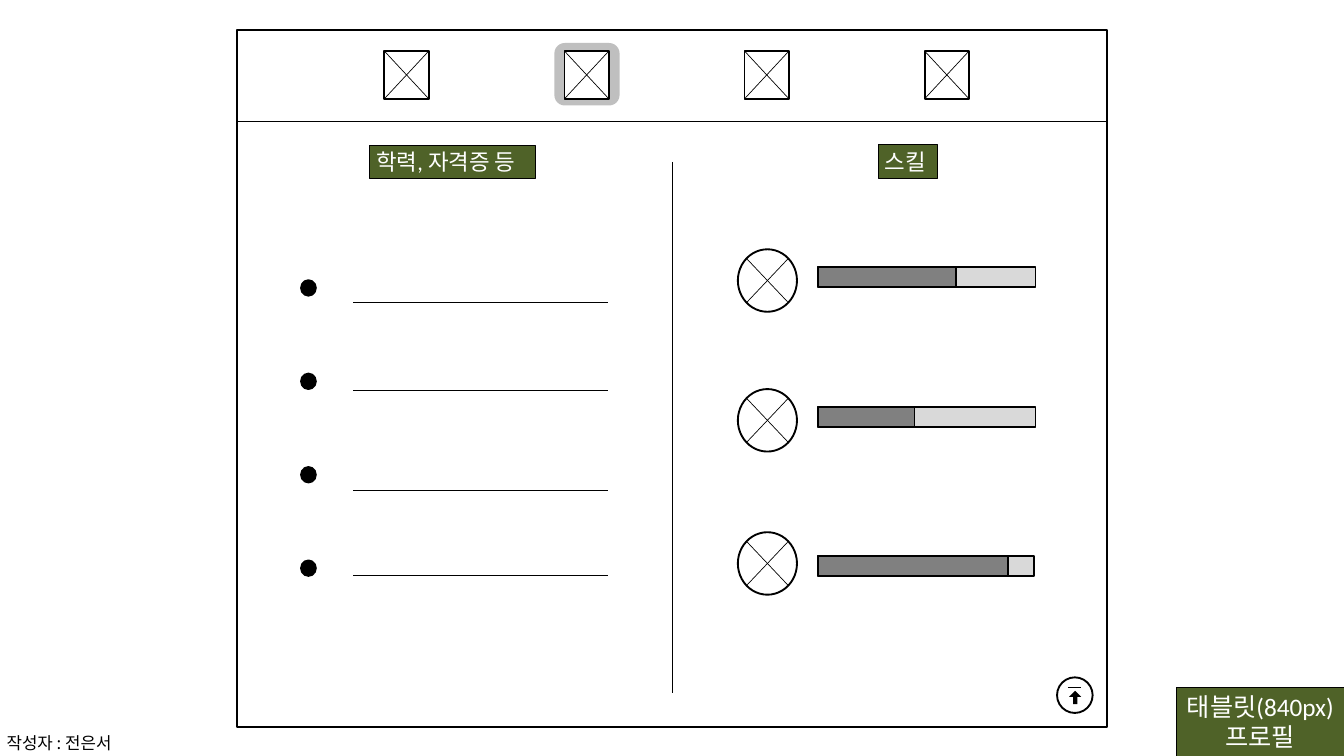
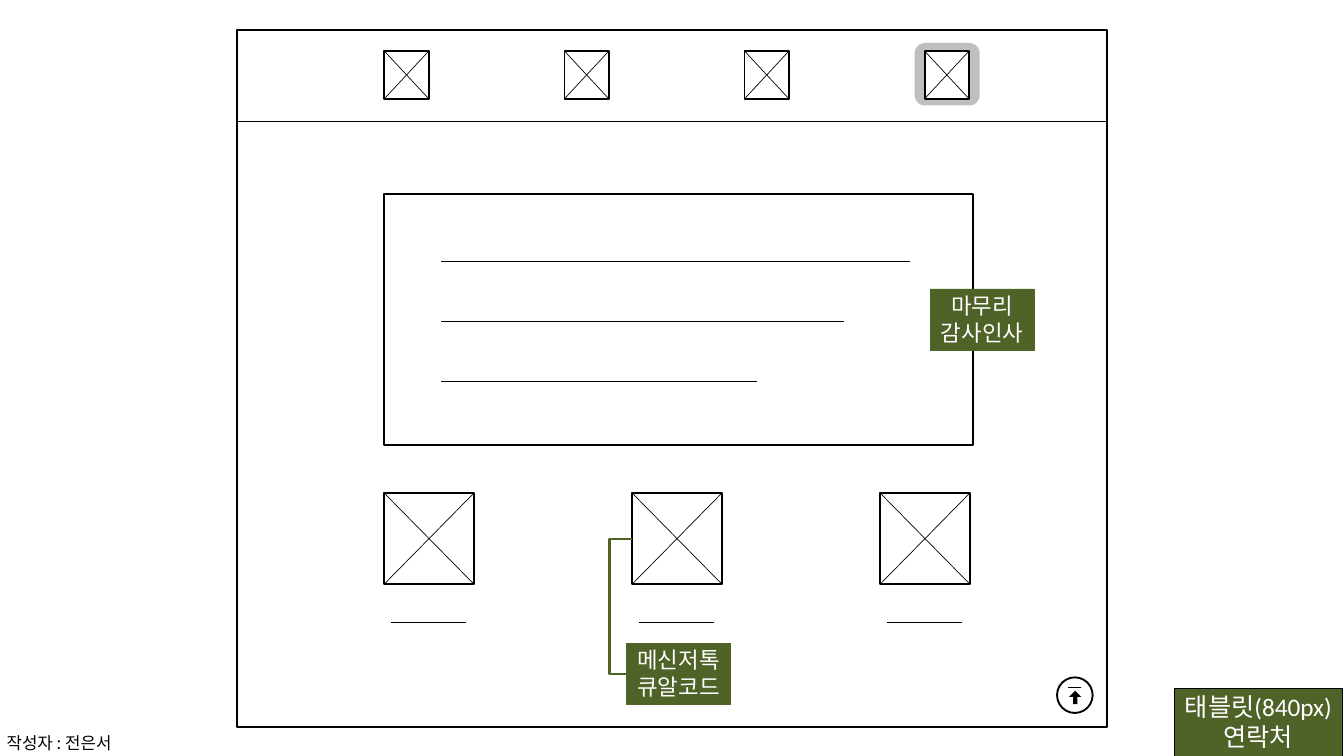
from lxml import etree
from pptx import Presentation
from pptx import util as u
from pptx.dml.color import RGBColor
from pptx.enum import shapes as kinds, text
from pptx.oxml import ns

# Content
AUTHOR = "작성자 : 전은서"
DEVICE = "태블릿(840px)"
PROFILE = {"name": "프로필", "tag": (17.51, 10.23), "active": 1}
CONTACT = {"name": "연락처", "tag": (17.48, 10.24), "active": 3}
SECTIONS = [("학력, 자격증 등", 5.5, 2.16, 2.46), ("스킬", 13.07, 2.15, 0.88)]
HISTORY_LINES = [4.5, 5.81, 7.3, 8.56]
# icon top, bar top, bar width, filled width
SKILLS = [(3.71, 3.97, 3.24, 2.06), (5.79, 6.06, 3.24, 1.44),
          (7.92, 8.27, 3.22, 2.83)]
CLOSING_LINES = [6.97, 5.99, 4.69]
CLOSING_NOTE = ["마무리", "감사인사"]
CODE_NOTE = ["메신저톡", "큐알코드"]

# Shared look
BLACK, WHITE, GREEN = "000000", "FFFFFF", "4F6228"
HALO, TRACK, LEVEL = "BFBFBF", "D9D9D9", "808080"
LATIN, KOREAN = "Calibri", "Noto Sans CJK KR"
THIN, THICK = 0.75, 2
SHAPE = kinds.MSO_SHAPE
FRAME = (3.53, 0.44, 12.94, 10.38)
HEADER_Y = 1.81
NAV_LEFT, NAV_TOP, NAV_STEP, NAV_SIZE = 5.72, 0.76, 2.68, (0.66, 0.71)
CIRCLE_INSET = 0.146  # where a 45° diagonal meets the circle


def color(hex_value):
    return RGBColor.from_string(hex_value)


def inches(*values):
    return [u.Inches(value) for value in values]


def paint(shape, fill=None, line=None, weight=THICK):
    if fill:
        shape.fill.solid()
        shape.fill.fore_color.rgb = color(fill)
    else:
        shape.fill.background()
    if line:
        shape.line.color.rgb = color(line)
        shape.line.width = u.Pt(weight)
    else:
        shape.line.fill.background()


def add_shape(parent, kind, box, fill=None, line=BLACK, weight=THICK):
    shape = parent.add_shape(kind, *inches(*box))
    shape.shadow.inherit = False
    paint(shape, fill, line, weight)
    return shape


def add_line(parent, x1, y1, x2, y2, weight=THIN, hue=BLACK,
             kind=kinds.MSO_CONNECTOR.STRAIGHT):
    line = parent.add_connector(kind, *inches(x1, y1, x2, y2))
    line.line.color.rgb = color(hue)
    line.line.width = u.Pt(weight)
    etree.SubElement(line._element.spPr, ns.qn("a:effectLst"))
    return line


def write(shape, lines, size, hue=WHITE, font=LATIN, align=text.PP_ALIGN.CENTER):
    frame = shape.text_frame
    frame_format = {
        "word_wrap": False, "auto_size": text.MSO_AUTO_SIZE.SHAPE_TO_FIT_TEXT,
        "vertical_anchor": text.MSO_ANCHOR.TOP,
        "margin_left": u.Inches(0.1), "margin_right": u.Inches(0.1),
        "margin_top": u.Inches(0.05), "margin_bottom": u.Inches(0.05)}
    for name, value in frame_format.items():
        setattr(frame, name, value)
    for index, line in enumerate(lines):
        paragraph = frame.add_paragraph() if index else frame.paragraphs[0]
        paragraph.alignment = align
        run = paragraph.add_run()
        run.text = line
        for name, value in {"size": u.Pt(size), "name": font}.items():
            setattr(run.font, name, value)
        run.font.color.rgb = color(hue)


def add_label(parent, box, lines, border=BLACK, align=text.PP_ALIGN.CENTER):
    label = add_shape(parent, SHAPE.RECTANGLE, box, GREEN, border, THIN)
    write(label, lines, 24, align=align)
    return label


def add_crossed(parent, box, kind=SHAPE.RECTANGLE, inset=0):
    """Placeholder icon: an outline with both diagonals."""
    shape = add_shape(parent, kind, box, WHITE)
    left, top, width, height = box
    x1, x2 = left + inset * width, left + (1 - inset) * width
    y1, y2 = top + inset * height, top + (1 - inset) * height
    add_line(parent, x1, y2, x2, y1)
    add_line(parent, x2, y2, x1, y1)
    return shape


def add_page(presentation, page):
    """Add a slide with the parts every page shares."""
    slide = presentation.slides.add_slide(presentation.slide_layouts[5])
    shapes = slide.shapes

    # Page tag
    title = shapes.title
    title.left, title.top, title.width, title.height = inches(*page["tag"], 2.49, 1.01)
    paint(title, GREEN, BLACK, THIN)
    write(title, [DEVICE, page["name"]], 27)

    # Device frame and header
    left, _, width, _ = FRAME
    add_shape(shapes, SHAPE.RECTANGLE, FRAME)
    add_line(shapes, left, HEADER_Y, left + width, HEADER_Y)

    # Navigation, with a halo behind the active icon
    for index in range(4):
        icon_left = NAV_LEFT + index * NAV_STEP
        icon = shapes.add_group_shape().shapes
        if index == page["active"]:
            add_shape(icon, SHAPE.ROUNDED_RECTANGLE,
                      (icon_left - 0.15, 0.64, 0.97, 0.93), HALO, None)
        add_crossed(icon, (icon_left, NAV_TOP, *NAV_SIZE))

    # Back-to-top button
    button = shapes.add_group_shape().shapes
    add_shape(button, SHAPE.OVAL, (15.73, 10.08, 0.53, 0.53))
    arrow = add_shape(button, SHAPE.UP_ARROW, (15.91, 10.28, 0.18, 0.2), BLACK, None)
    arrow.adjustments[0] = 0.36
    add_line(button, 15.89, 10.23, 16.09, 10.23, 1)

    # Author
    author = shapes.add_textbox(*inches(0, 10.85, 1.9, 0.4))
    write(author, [AUTHOR], 18, BLACK, KOREAN, text.PP_ALIGN.LEFT)
    return shapes


def build_profile(presentation):
    shapes = add_page(presentation, PROFILE)
    add_line(shapes, 10, 2.41, 10, 10.31)
    for name, left, top, width in SECTIONS:
        add_label(shapes, (left, top, width, 0.5), [name], align=text.PP_ALIGN.LEFT)

    # Education and certificates
    for index, line_y in enumerate(HISTORY_LINES):
        add_shape(shapes, SHAPE.OVAL, (4.48, 4.17 + index * 1.39, 0.22, 0.23), BLACK)
        add_line(shapes, 5.26, line_y, 9.05, line_y)

    # Skills
    for icon_top, bar_top, width, filled in SKILLS:
        icon = shapes.add_group_shape().shapes
        add_crossed(icon, (10.98, icon_top, 0.88, 0.93), SHAPE.OVAL, CIRCLE_INSET)
        for bar_width, fill in ((width, TRACK), (filled, LEVEL)):
            add_shape(shapes, SHAPE.RECTANGLE, (12.17, bar_top, bar_width, 0.3), fill)


def build_contact(presentation):
    shapes = add_page(presentation, CONTACT)

    # Contact icons with captions
    icons = []
    for index in range(3):
        left = NAV_LEFT + index * 3.69
        group = shapes.add_group_shape().shapes
        icons.append(add_crossed(group, (left, 7.34, 1.33, 1.35)))
        add_line(group, left + 0.1, 9.26, left + 1.21, 9.26)

    # Closing message
    message = shapes.add_group_shape().shapes
    add_shape(message, SHAPE.RECTANGLE, (5.72, 2.89, 8.76, 3.73))
    for index, length in enumerate(CLOSING_LINES):
        line_y = 3.89 + index * 0.895
        add_line(message, 6.57, line_y, 6.57 + length, line_y)

    # Notes, the second one tied to the middle icon
    add_label(shapes, (13.84, 4.3, 1.55, 0.91), CLOSING_NOTE, GREEN)
    note = add_label(shapes, (9.32, 9.57, 1.55, 0.91), CODE_NOTE, GREEN)
    elbow = add_line(shapes, 9.41, 8.01, 9.32, 10.03, 2.25, GREEN,
                     kinds.MSO_CONNECTOR.ELBOW)
    elbow.begin_connect(icons[1], 1)
    elbow.end_connect(note, 1)
    bend = round(u.Inches(0.34) / elbow.width * 100000)
    guides = elbow._element.spPr.find(ns.qn("a:prstGeom")).get_or_add_avLst()
    etree.SubElement(guides, ns.qn("a:gd"), name="adj1", fmla=f"val {bend}")


def main():
    presentation = Presentation()
    presentation.slide_width, presentation.slide_height = inches(20, 11.25)
    build_profile(presentation)
    build_contact(presentation)
    presentation.save("out.pptx")


if __name__ == "__main__":
    main()
